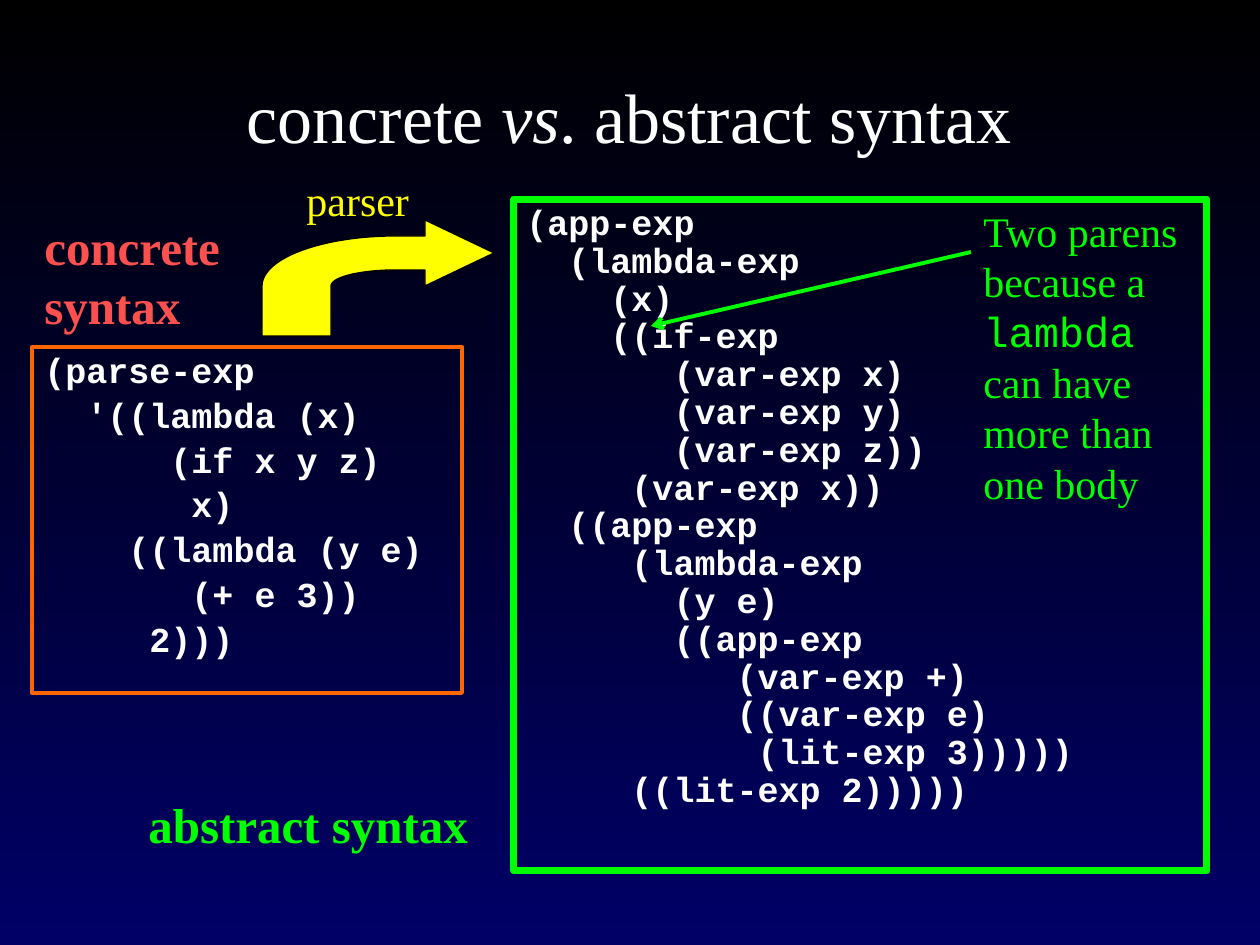
from dataclasses import dataclass
from math import cos, pi, sin

from lxml import etree
from pptx import Presentation
from pptx import util as u
from pptx.dml.color import RGBColor
from pptx.enum import shapes, text
from pptx.oxml import ns


@dataclass(frozen=True)
class Theme:
    serif: str = "Times New Roman"
    mono: str = "Courier New"
    top: str = "000000"
    bottom: str = "000066"
    white: str = "FFFFFF"
    red: str = "FF5050"
    orange: str = "FF6600"
    green: str = "00FF00"
    yellow: str = "FFFF00"
    title: int = 40
    label: int = 28
    note: int = 24
    code: int = 20


T = Theme()
TITLE = [("concrete ", {}), ("vs", {"italic": True}), (". abstract syntax", {})]
NOTE = [("Two parens because a ", {}), ("lambda", {"font": T.mono}),
        (" can have more than one body", {})]
CONCRETE = """(parse-exp
  '((lambda (x)
      (if x y z)
       x)
    ((lambda (y e)
       (+ e 3))
     2)))"""
ABSTRACT = """(app-exp
  (lambda-exp
    (x)
    ((if-exp
       (var-exp x)
       (var-exp y)
       (var-exp z))
     (var-exp x))
  ((app-exp
     (lambda-exp
       (y e)
       ((app-exp
          (var-exp +)
          ((var-exp e)
           (lit-exp 3)))))
     ((lit-exp 2)))))"""
CODE_BOXES = [
    (CONCRETE, (32, 347, 430, 346), T.orange, 2.25, 4),
    (ABSTRACT, (514, 199, 693, 672), T.green, 4, 0),
]
LABELS = [
    ("concrete syntax", (32, 210, 242, 131), T.red, T.label, True),
    ("abstract syntax", (136, 788, 388, 72), T.green, T.label, True),
]
PARSER = ("parser", (294, 168, 147, 63), T.yellow, T.note, False)
NOTE_BOX = (971, 199, 242, 318)
POINTER = (971, 252, 651, 326)
ARROW = {"left": 262, "inner": 331, "bend": 396, "neck": 425, "tip": 494,
         "top": 220, "outer_y": 236, "mid": 253, "inner_y": 270,
         "low": 286, "base": 336}


def px(n):
    return u.Emu(round(n * 914400 / 126))


def rgb(color):
    return RGBColor.from_string(color)


def write(tf, lines, font=T.serif, size=T.note, color=T.white, bold=False,
          align=None, spacing=None, before=0, hanging=0):
    tf.word_wrap = True
    for i, runs in enumerate(lines):
        p = tf.add_paragraph() if i else tf.paragraphs[0]
        p.alignment = align
        p.line_spacing = spacing
        p.space_before = u.Pt(before if i else 0)
        if hanging:
            pPr = p._p.get_or_add_pPr()
            pPr.set("marL", str(px(hanging)))
            pPr.set("indent", str(-px(hanging)))
        for words, style in runs:
            r = p.add_run()
            r.text = words
            r.font.name = style.get("font", font)
            r.font.size = u.Pt(size)
            r.font.bold = bold
            r.font.italic = style.get("italic", False)
            r.font.color.rgb = rgb(color)


def add_code(s, code, box, color, width, before):
    sp = s.shapes.add_shape(shapes.MSO_SHAPE.RECTANGLE, *map(px, box))
    sp.shadow.inherit = False
    sp.fill.background()
    sp.line.color.rgb = rgb(color)
    sp.line.width = u.Pt(width)
    tf = sp.text_frame
    tf.vertical_anchor = text.MSO_ANCHOR.TOP
    write(tf, [[(line, {})] for line in code.splitlines()], font=T.mono,
          size=T.code, bold=True, align=text.PP_ALIGN.LEFT, spacing=0.9,
          before=before, hanging=47)


def add_label(s, words, box, color, size, bold):
    sp = s.shapes.add_textbox(*map(px, box))
    write(sp.text_frame, [[(words, {})]], size=size, color=color, bold=bold)


def quarter(cx, cy, rx, ry, steps=24):
    angles = [pi / 2 * i / steps for i in range(steps + 1)]
    return [(cx - rx * sin(a), cy - ry * cos(a)) for a in angles]


def add_bent_arrow(s, a):
    outer = quarter(a["bend"], a["low"], a["bend"] - a["left"], a["low"] - a["outer_y"])
    inner = quarter(a["bend"], a["low"], a["bend"] - a["inner"], a["low"] - a["inner_y"])
    points = [(a["tip"], a["mid"]), (a["neck"], a["top"]), (a["neck"], a["outer_y"]),
              *outer, (a["left"], a["base"]), (a["inner"], a["base"]),
              *reversed(inner), (a["neck"], a["inner_y"]), (a["neck"], a["low"])]
    points = [(px(x), px(y)) for x, y in points]
    builder = s.shapes.build_freeform(*points[0])
    builder.add_line_segments(points[1:], close=True)
    sp = builder.convert_to_shape()
    sp.shadow.inherit = False
    sp.fill.solid()
    sp.fill.fore_color.rgb = rgb(T.yellow)
    sp.line.color.rgb = rgb(T.top)
    sp.line.width = u.Pt(0.75)


def add_note(s):
    group = s.shapes.add_group_shape()
    sp = group.shapes.add_textbox(*map(px, NOTE_BOX))
    write(sp.text_frame, [NOTE], color=T.green)
    line = group.shapes.add_connector(shapes.MSO_CONNECTOR.STRAIGHT, *map(px, POINTER))
    line.line.color.rgb = rgb(T.green)
    line.line.width = u.Pt(2.25)
    etree.SubElement(line.line._get_or_add_ln(), ns.qn("a:tailEnd"), type="arrow")
    etree.SubElement(line._element.spPr, ns.qn("a:effectLst"))


def main():
    prs = Presentation()
    prs.slide_width, prs.slide_height = px(1260), px(945)
    s = prs.slides.add_slide(prs.slide_layouts[5])
    fill = s.background.fill
    fill.gradient()
    fill.gradient_angle = 270
    for stop, color in zip(fill.gradient_stops, (T.top, T.bottom)):
        stop.color.rgb = rgb(color)

    title = s.shapes.title
    title.left, title.top, title.width, title.height = map(px, (94, 73, 1071, 84))
    title.text_frame.vertical_anchor = text.MSO_ANCHOR.MIDDLE
    write(title.text_frame, [TITLE], size=T.title, align=text.PP_ALIGN.CENTER)

    for box in CODE_BOXES:
        add_code(s, *box)
    add_bent_arrow(s, ARROW)
    for label in LABELS:
        add_label(s, *label)
    add_note(s)
    add_label(s, *PARSER)
    prs.save("out.pptx")


if __name__ == "__main__":
    main()
